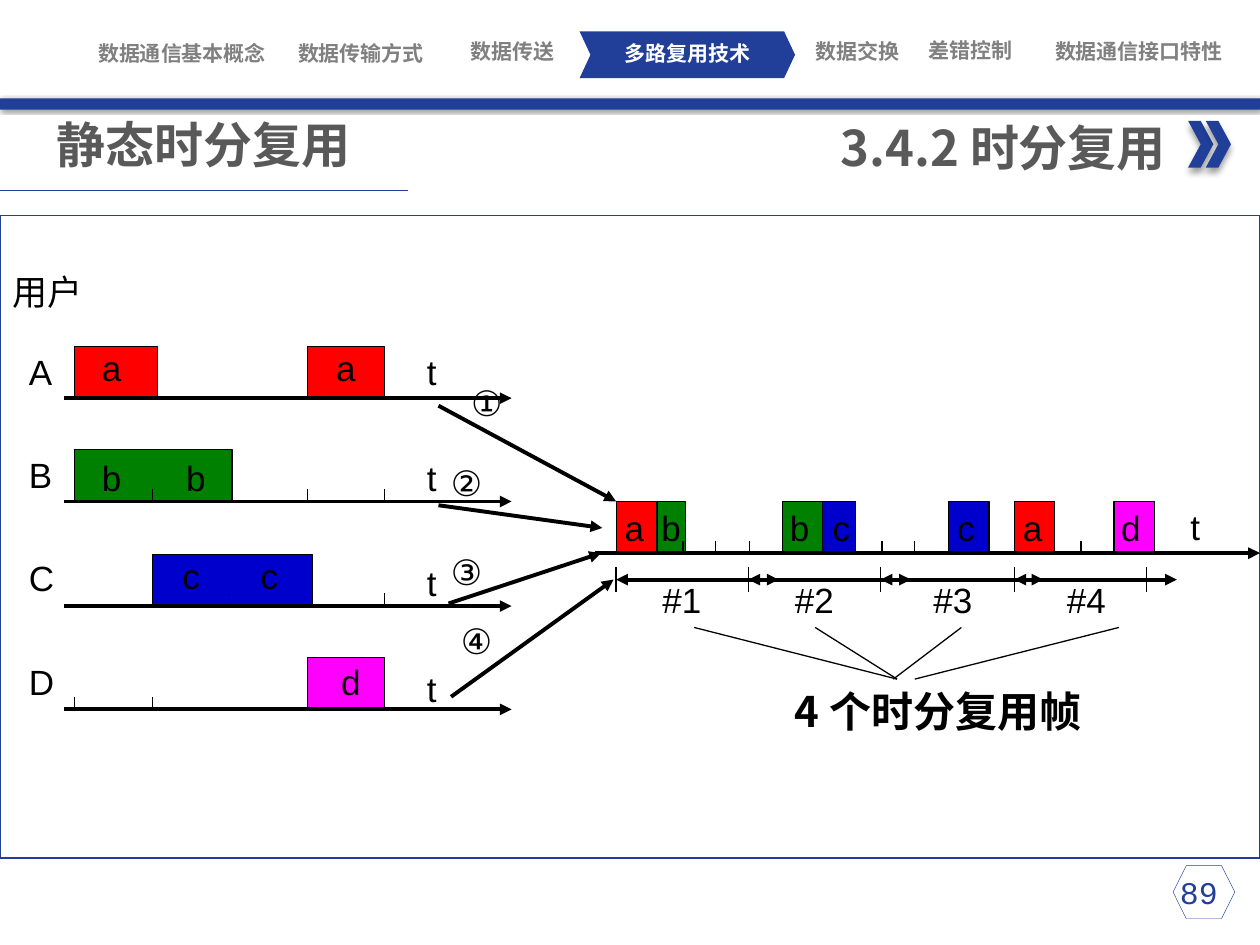
from dataclasses import dataclass

from lxml.etree import SubElement
from pptx import Presentation
from pptx.dml.color import RGBColor
from pptx.enum.shapes import MSO_CONNECTOR, MSO_SHAPE
from pptx.enum.text import MSO_ANCHOR, PP_ALIGN
from pptx.oxml.ns import qn
from pptx.util import Emu, Pt

SCALE = 9144


@dataclass(frozen=True)
class Theme:
    """Colours, fonts and type sizes of the deck."""
    navy: str = "213F99"
    white: str = "FFFFFF"
    muted: str = "808080"
    heading: str = "595959"
    ink: str = "000000"
    nav_font: str = "Roboto Condensed"
    cjk_font: str = "Noto Sans CJK SC"
    label_font: str = "Arial"
    page_font: str = "Courier New"
    nav_size: int = 12
    page_size: int = 18
    label_size: int = 20
    caption_size: int = 24
    title_size: int = 28
    thin: float = 0.75
    thick: float = 2.25


CHANNELS = {"a": "FF0000", "b": "008000", "c": "0000CC", "d": "FF00FF"}


def px(value):
    """Turn whole px into EMU."""
    return Emu(value * SCALE)


class SlideBuilder:
    """Draws styled elements on the current slide."""

    def __init__(self, slide, theme):
        """Keep the slide and its theme."""
        self.slide = slide
        self.theme = theme

    def text(self, words, left, top, width, height=43, size=None, font=None,
             color=None, bold=False, align=PP_ALIGN.LEFT, tight=False):
        """Add a one-line text box."""
        theme = self.theme
        box = self.slide.shapes.add_textbox(px(left), px(top), px(width), px(height))
        frame = box.text_frame
        frame.word_wrap = True
        if tight:
            frame.margin_left = frame.margin_right = 0
            frame.margin_top = frame.margin_bottom = 0
            frame.vertical_anchor = MSO_ANCHOR.MIDDLE
        frame.text = words
        paragraph = frame.paragraphs[0]
        paragraph.alignment = align
        run = paragraph.runs[0]
        run.font.size = Pt(size or theme.label_size)
        run.font.name = font or theme.label_font
        run.font.bold = bold
        run.font.color.rgb = RGBColor.from_string(color or theme.ink)
        SubElement(run.font._element, qn("a:ea"), typeface=theme.cjk_font)

    def nav(self, words, left, top, width=145, color=None):
        """Add a centred navigation entry."""
        theme = self.theme
        self.text(words, left, top, width, 20, theme.nav_size, theme.nav_font,
                  color or theme.muted, True, PP_ALIGN.CENTER, True)

    def paint(self, shape, fill=None, line=None, weight=0.75):
        """Set fill and outline, and remove the shadow."""
        shape.shadow.inherit = False
        if fill:
            shape.fill.solid()
            shape.fill.fore_color.rgb = RGBColor.from_string(fill)
        else:
            shape.fill.background()
        if line:
            shape.line.color.rgb = RGBColor.from_string(line)
            shape.line.width = Pt(weight)
        else:
            shape.line.fill.background()

    def shape(self, kind, left, top, width, height, fill=None, line=None,
              weight=0.75, adjust=None, shadow=None):
        """Add a preset shape; shadow is blur, distance and angle."""
        shape = self.slide.shapes.add_shape(kind, px(left), px(top), px(width), px(height))
        self.paint(shape, fill, line, weight)
        if adjust:
            shape.adjustments[0] = adjust
        if shadow:
            blur, distance, angle = shadow
            effects = shape._element.spPr.find(qn("a:effectLst"))
            outer = SubElement(effects, qn("a:outerShdw"), blurRad=str(Pt(blur)),
                               dist=str(Pt(distance)), dir=str(angle * 60000),
                               algn="t", rotWithShape="0")
            tint = SubElement(outer, qn("a:srgbClr"), val=self.theme.ink)
            SubElement(tint, qn("a:alpha"), val="40000")

    def block(self, channel, left, top, width, height=41):
        """Add a time slot that is open at its base."""
        right, base = left + width, top + height
        outline = self.slide.shapes.build_freeform(left, base, scale=SCALE)
        outline.add_line_segments([(left, top), (right, top), (right, base)], close=False)
        self.paint(outline.convert_to_shape(), CHANNELS[channel], self.theme.ink, self.theme.thin)

    def line(self, x1, y1, x2, y2, weight=None, color=None, ends=()):
        """Add a straight line with optional arrowheads."""
        line = self.slide.shapes.add_connector(
            MSO_CONNECTOR.STRAIGHT, px(x1), px(y1), px(x2), px(y2))
        line.line.color.rgb = RGBColor.from_string(color or self.theme.ink)
        line.line.width = Pt(weight or self.theme.thin)
        for end in ends:
            SubElement(line.line._get_or_add_ln(), qn(f"a:{end}"), type="triangle")
        SubElement(line._element.spPr, qn("a:effectLst"))

    def arrow(self, x1, y1, x2, y2, ends=("tailEnd",)):
        """Add a thick arrow."""
        self.line(x1, y1, x2, y2, self.theme.thick, ends=ends)


def draw_header(page):
    """Draw the navigation, titles, frame and page number."""
    theme = page.theme
    page.shape(MSO_SHAPE.CHEVRON, 460, 25, 171, 37, theme.navy, adjust=0.234)
    page.nav("多路复用技术", 473, 32, color=theme.white)
    for words, left, top, width in [
            ("数据通信基本概念", 72, 32, 145), ("数据传输方式", 214, 32, 145),
            ("数据传送", 343, 31, 127), ("数据交换", 608, 31, 145),
            ("差错控制", 698, 30, 145), ("数据通信接口特性", 808, 31, 192)]:
        page.nav(words, left, top, width)
    page.shape(MSO_SHAPE.RECTANGLE, 0, 78, 1000, 9, theme.navy, shadow=(2, 1, 45))
    for left in (943, 957):
        page.shape(MSO_SHAPE.CHEVRON, left, 96, 20, 37, theme.navy, shadow=(4, 3, 90))
    title = dict(height=57, size=theme.title_size, font=theme.cjk_font,
                 color=theme.heading, bold=True)
    page.text("3.4.2 时分复用", 639, 88, 296, align=PP_ALIGN.RIGHT, **title)
    page.text("静态时分复用", 35, 86, 444, **title)
    page.line(0, 151, 324, 151, 0.5, theme.navy)
    page.shape(MSO_SHAPE.RECTANGLE, 0, 171, 1000, 510, line=theme.navy)
    page.shape(MSO_SHAPE.HEXAGON, 931, 687, 49, 42, line=theme.navy, weight=0.25)
    page.text("89", 908, 688, 87, 40, theme.page_size, theme.page_font,
              theme.navy, align=PP_ALIGN.CENTER)


def draw_users(page):
    """Draw the four input time lines."""
    page.text("用户", 0, 210, 93)
    rows = [("A", "a", [(59, 66), (244, 61)], [], [71, 257], 270),
            ("B", "b", [(59, 125)], [121, 244, 305], [71, 138], 357),
            ("C", "c", [(121, 127)], [182, 305], [135, 197], 435),
            ("D", "d", [(244, 61)], [59, 121, 244], [261], 519)]
    for index, (user, channel, slots, ticks, letters, letter_top) in enumerate(rows):
        axis = 316 + round(index * 82.33)
        for left, width in slots:
            page.block(channel, left, axis - 41, width)
        for tick in ticks:
            page.line(tick, axis - 10, tick, axis)
        for left in letters:
            page.text(channel, left, letter_top, 46)
        page.text(user, 13, 273 + 82 * index, 49)
        page.text("t", 329, 273 + 84 * index, 36)
        page.arrow(51, axis, 406, axis)


def draw_multiplexed(page):
    """Draw the shared line, its frames and the caption."""
    axis, slot = 439, 32
    slots = [("b", 522, 22, 515), ("a", 489, slot, 486), ("c", 647, slot, 651),
             ("b", 621, slot, 617), ("c", 753, slot, 750), ("a", 805, slot, 802),
             ("d", 884, slot, 880)]
    for channel, left, width, _ in slots:
        page.block(channel, left, 398, width)
    page.arrow(472, axis, 1000, axis)
    for tick in (542, 568, 595, 700, 726, 858):
        page.line(tick, axis - 10, tick, axis)
    for channel, _, _, letter_left in slots:
        page.text(channel, letter_left, 397, 44)
    page.text("t", 935, 396, 36)

    bounds = [489 + round(step * 105.25) for step in range(5)]
    for bound in bounds:
        page.line(bound, 450, bound, 470)
    for number, (start, left) in enumerate(zip(bounds, (516, 621, 731, 837)), 1):
        page.arrow(start, 460, start + 129, 460, ("headEnd", "tailEnd"))
        page.text(f"#{number}", left, 454, 63)
    for frame_x, caption_x in ((551, 712), (647, 712), (763, 709), (888, 726)):
        page.line(frame_x, 498, caption_x, 539)
    page.text("4 个时分复用帧", 621, 539, 259, 50, page.theme.caption_size,
              page.theme.cjk_font, bold=True)


def draw_inputs(page):
    """Draw the numbered arrows into the shared line."""
    for ends, number, left, top in [
            ((348, 322, 489, 398), "①", 364, 298),
            ((348, 401, 478, 419), "②", 348, 361),
            ((356, 479, 477, 439), "③", 348, 432),
            ((358, 553, 487, 460), "④", 356, 487)]:
        page.arrow(*ends)
        page.text(number, left, top, 59)


def main():
    """Build and save the slide."""
    deck = Presentation()
    deck.slide_width, deck.slide_height = px(1000), px(750)
    page = SlideBuilder(deck.slides.add_slide(deck.slide_layouts[6]), Theme())
    draw_header(page)
    draw_users(page)
    draw_multiplexed(page)
    draw_inputs(page)
    deck.save("out.pptx")


if __name__ == "__main__":
    main()
